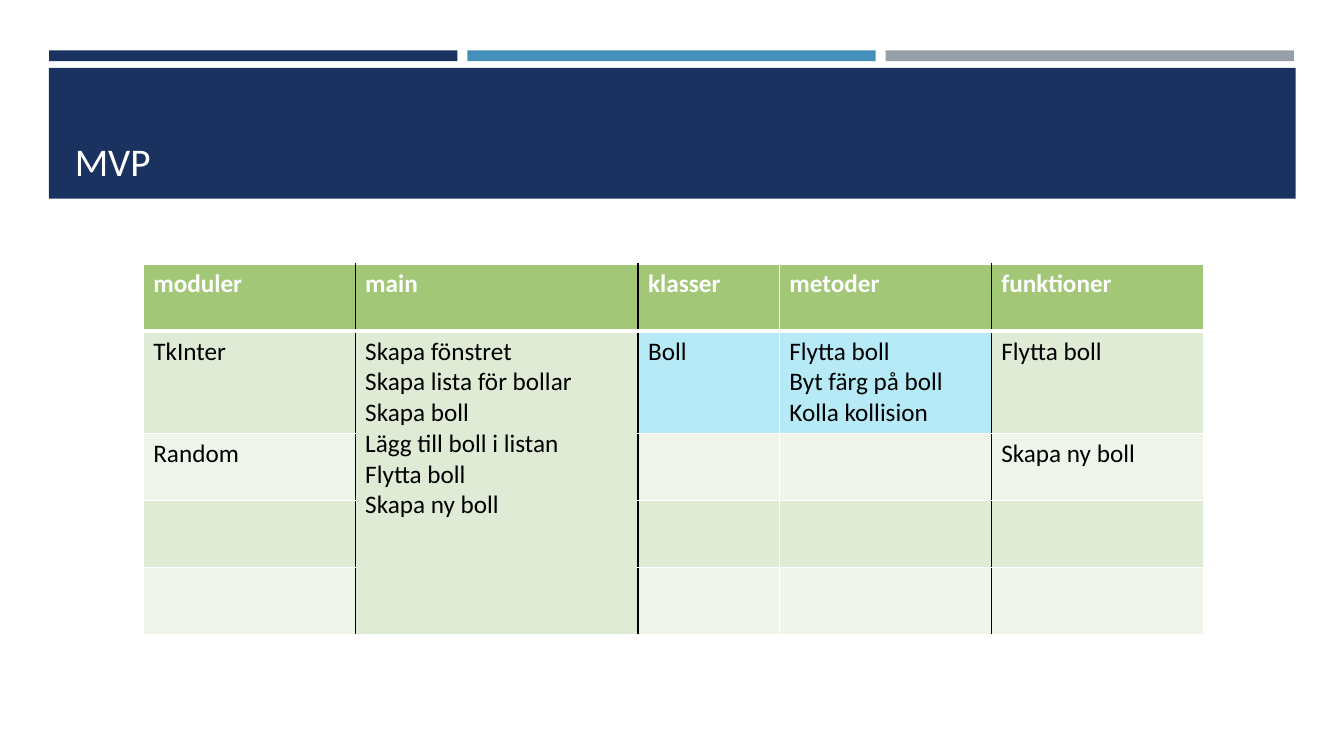
from lxml.etree import SubElement
from pptx import Presentation
from pptx.dml.color import RGBColor
from pptx.enum.shapes import MSO_SHAPE
from pptx.enum.text import MSO_ANCHOR, PP_ALIGN
from pptx.oxml.ns import qn
from pptx.util import Cm, Pt

HUES = {
    "navy": "1A3260", "blue": "4590B8", "grey": "969FA7",
    "white": "FFFFFF", "black": "000000", "head": "A2C777",
    "dark": "E0EBD6", "light": "F0F5EC", "cyan": "B5EAF6",
}
WIDTHS = [5.34, 7.13, 3.56, 5.34, 5.34]
HEIGHTS = [1.69, 2.56, 1.69, 1.69, 1.69]
BLACK_EDGES = {1, 2, 4}
ROWS = [
    [["moduler"], ["main"], ["klasser"], ["metoder"], ["funktioner"]],
    [
        ["TkInter"],
        ["Skapa fönstret\nSkapa lista för bollar",
         "Skapa boll\nLägg till boll i listan",
         "Flytta boll", "Skapa ny boll"],
        ["Boll"],
        ["Flytta boll", "Byt färg på boll\nKolla kollision"],
        ["Flytta boll"],
    ],
    [["Random"], [], [], [], ["Skapa ny boll"]],
    [[], [], [], [], []],
    [[], [], [], [], []],
]


class Deck:
    font = "Calibri"

    def __init__(self):
        self.deck = Presentation()
        self.deck.slide_width = Cm(33.87)
        self.deck.slide_height = Cm(19.05)
        self.slide = self.deck.slides.add_slide(self.deck.slide_layouts[5])

    def hue(self, name):
        return RGBColor.from_string(HUES[name])

    def paint(self, fill, name):
        fill.solid()
        fill.fore_color.rgb = self.hue(name)

    def bar(self, left, top, width, height, name):
        box = self.slide.shapes.add_shape(
            MSO_SHAPE.RECTANGLE, Cm(left), Cm(top), Cm(width), Cm(height))
        box.shadow.inherit = False
        self.paint(box.fill, name)
        box.line.fill.background()

    def text(self, frame, paras, size, name, bold=False):
        for num, words in enumerate(paras):
            para = frame.paragraphs[0] if num == 0 else frame.add_paragraph()
            para.alignment = PP_ALIGN.LEFT
            for spot, line in enumerate(words.split("\n")):
                if spot:
                    para.add_line_break()
                run = para.add_run()
                run.text = line
                run.font.name = self.font
                run.font.size = Pt(size)
                run.font.bold = bold
                run.font.color.rgb = self.hue(name)

    def title(self, words, left, top, width, height):
        head = self.slide.shapes.title
        head.left, head.top = Cm(left), Cm(top)
        head.width, head.height = Cm(width), Cm(height)
        self.slide.shapes._spTree.append(head._element)
        head.text_frame.word_wrap = True
        head.text_frame.vertical_anchor = MSO_ANCHOR.BOTTOM
        self.text(head.text_frame, [words], 28, "white")

    def edges(self, cell, row, col):
        sides = {
            "a:lnL": ("black" if col in BLACK_EDGES else "white", 1),
            "a:lnR": ("black" if col + 1 in BLACK_EDGES else "white", 1),
            "a:lnT": ("white", 3 if row == 1 else 1),
            "a:lnB": ("white", 3 if row == 0 else 1),
        }
        props = cell._tc.get_or_add_tcPr()
        for spot, (tag, (name, width)) in enumerate(sides.items()):
            line = SubElement(props, qn(tag), w=str(Pt(width)))
            fill = SubElement(line, qn("a:solidFill"))
            SubElement(fill, qn("a:srgbClr"), val=HUES[name])
            props.insert(spot, line)

    def shade(self, row, col):
        if row == 0:
            return "head"
        if row == 1 and col in (2, 3):
            return "cyan"
        return "dark" if row % 2 else "light"

    def table(self, left, top):
        grid = self.slide.shapes.add_table(
            len(ROWS), len(WIDTHS), Cm(left), Cm(top),
            Cm(sum(WIDTHS)), Cm(sum(HEIGHTS))).table
        for col, width in zip(grid.columns, WIDTHS):
            col.width = Cm(width)
        for row, height in zip(grid.rows, HEIGHTS):
            row.height = Cm(height)
        grid.cell(1, 1).merge(grid.cell(4, 1))
        for row, cells in enumerate(ROWS):
            for col, paras in enumerate(cells):
                cell = grid.cell(row, col)
                if cell.is_spanned:
                    continue
                self.paint(cell.fill, self.shade(row, col))
                self.edges(cell, row, col)
                self.text(cell.text_frame, paras, 18,
                          "black" if row else "white", row == 0)


def main():
    deck = Deck()
    for num, name in enumerate(["navy", "blue", "grey"]):
        deck.bar(1.24 + num * 10.54, 1.27, 10.29, 0.27, name)
    deck.bar(1.23, 1.71, 31.42, 3.3, "navy")
    deck.title("MVP", 1.63, 1.96, 30.63, 2.82)
    deck.table(3.61, 6.65)
    deck.deck.save("out.pptx")


if __name__ == "__main__":
    main()
